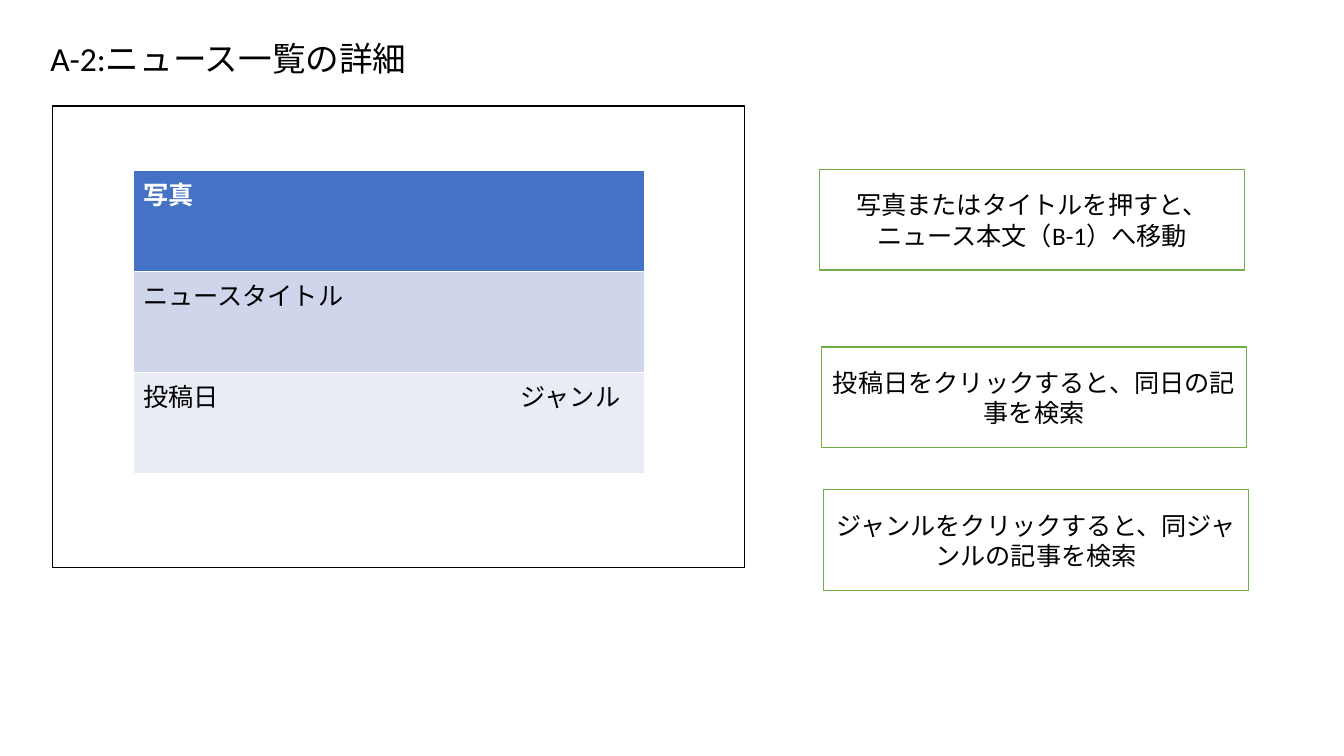
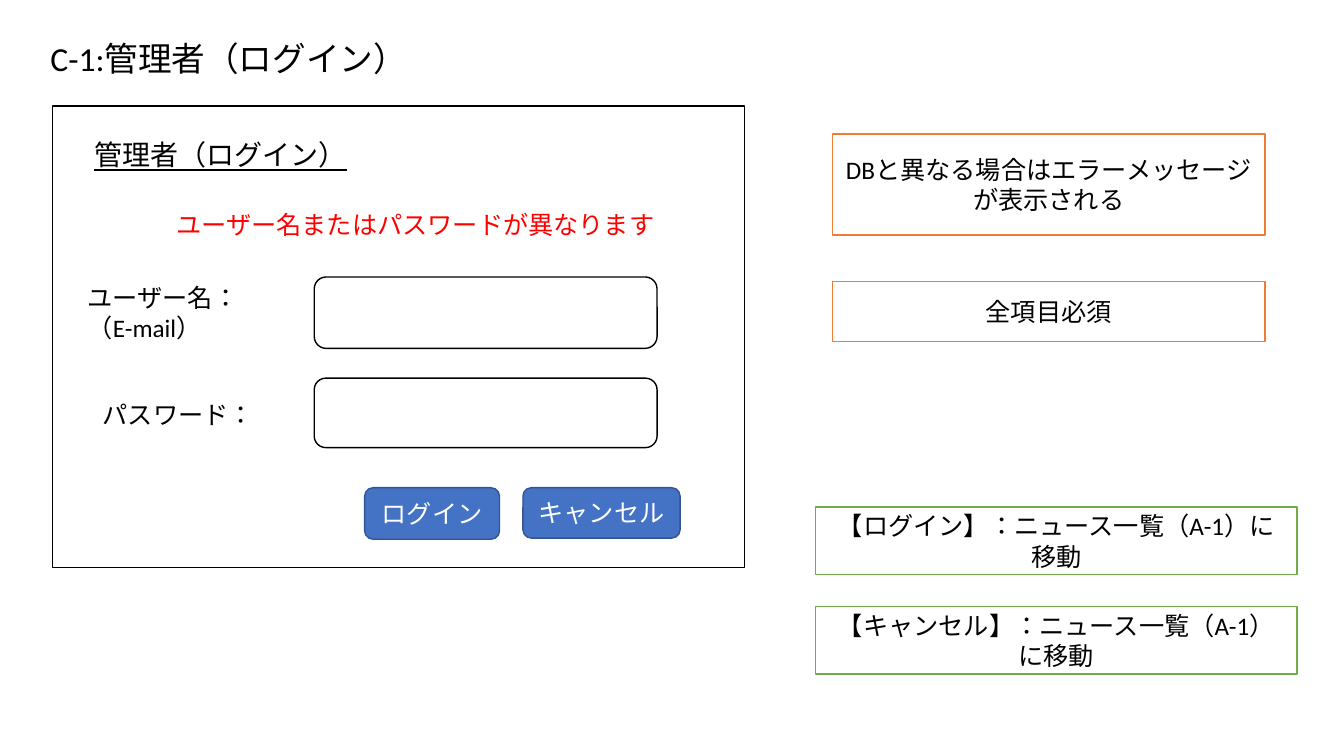
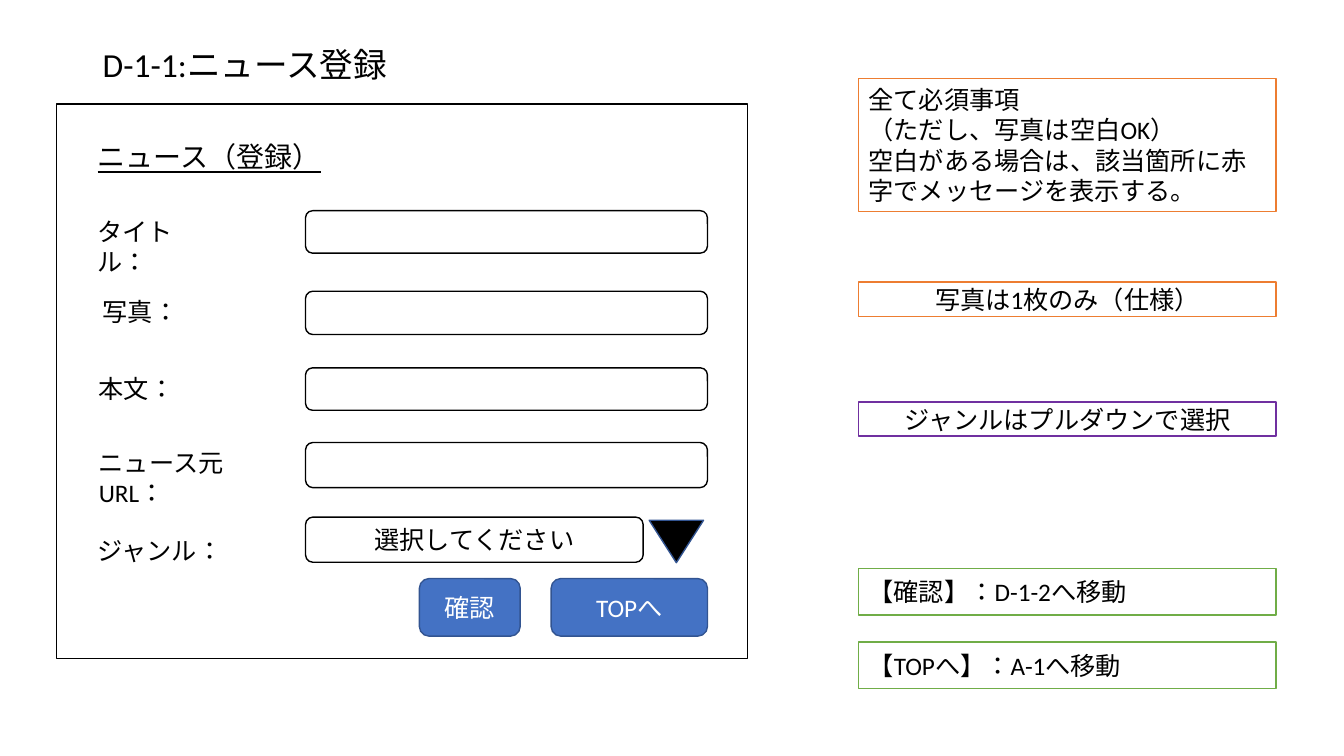
"""Build three wireframe slides of a news site with notes on each screen."""
from dataclasses import dataclass

from lxml.etree import SubElement
from pptx import Presentation
from pptx.dml.color import RGBColor
from pptx.enum.lang import MSO_LANGUAGE_ID as Lang
from pptx.enum.shapes import MSO_SHAPE as Form
from pptx.enum.text import MSO_ANCHOR as Anchor, PP_ALIGN as Align
from pptx.oxml.ns import qn
from pptx.slide import Slide
from pptx.text.text import TextFrame
from pptx.util import Cm, Pt

FONT = "Calibri"
BLACK, WHITE, RED = "000000", "FFFFFF", "FF0000"
BLUE, NAVY = "4472C4", "325491"
GREEN, ORANGE, PURPLE = "70AD47", "ED7D31", "7030A0"


@dataclass(frozen=True)
class Style:
    form: Form = Form.RECTANGLE
    fill: str = WHITE
    line: str = BLACK
    ink: str = BLACK
    align: Align = Align.CENTER
    turn: int = 0


@dataclass(frozen=True)
class Box:
    x: float
    y: float
    w: float
    h: float
    text: str = ""


FRAME = Style()
FIELD = Style(form=Form.ROUNDED_RECTANGLE)
BUTTON = Style(form=Form.ROUNDED_RECTANGLE, fill=BLUE, line=NAVY, ink=WHITE)
ARROW = Style(form=Form.ISOSCELES_TRIANGLE, fill=BLACK, line=NAVY, turn=180)
MOVE = Style(line=GREEN)
MOVE_LEFT = Style(line=GREEN, align=Align.LEFT)
RULE = Style(line=ORANGE)
RULE_LEFT = Style(line=ORANGE, align=Align.LEFT)
PICK = Style(line=PURPLE)

TITLE = Box(1.02, 0.74, 29.21, 1.57)
SCREEN = Box(1.32, 2.67, 17.45, 11.63)


def tint(code: str) -> RGBColor:
    return RGBColor.from_string(code)


def write(frame: TextFrame, text: str, *, size: int = 18, ink: str = BLACK,
          bold: bool = False, under: bool = False, align: Align = Align.LEFT,
          anchor: Anchor = Anchor.TOP, space: float = 1.0, tab: float = 0) -> None:
    frame.word_wrap = True
    frame.vertical_anchor = anchor
    for i, line in enumerate(text.split("\n")):
        para = frame.add_paragraph() if i else frame.paragraphs[0]
        para.alignment = align
        para.line_spacing = space
        if tab:
            stops = SubElement(para._p.get_or_add_pPr(), qn("a:tabLst"))
            SubElement(stops, qn("a:tab"), pos=str(Cm(tab)), algn="l")
        run = para.add_run()
        run.text = line
        font = run.font
        font.name, font.size, font.bold = FONT, Pt(size), bold
        font.underline = under
        font.language_id = Lang.JAPANESE
        font.color.rgb = tint(ink)


def place(box: Box) -> tuple[Cm, Cm, Cm, Cm]:
    return Cm(box.x), Cm(box.y), Cm(box.w), Cm(box.h)


def draw(slide: Slide, style: Style, *group: Box) -> None:
    for box in group:
        shape = slide.shapes.add_shape(style.form, *place(box))
        shape.shadow.inherit = False
        shape.rotation = style.turn
        shape.fill.solid()
        shape.fill.fore_color.rgb = tint(style.fill)
        shape.line.color.rgb = tint(style.line)
        shape.line.width = Pt(1)
        if box.text:
            write(shape.text_frame, box.text, ink=style.ink,
                  align=style.align, anchor=Anchor.MIDDLE)


def label(slide: Slide, *group: Box, **look) -> None:
    for box in group:
        write(slide.shapes.add_textbox(*place(box)).text_frame, box.text, **look)


def start(deck: Presentation, title: str, spot: Box = TITLE,
          screen: Box = SCREEN) -> Slide:
    slide = deck.slides.add_slide(deck.slide_layouts[6])
    head = Box(spot.x, spot.y, spot.w, spot.h, title)
    label(slide, head, size=24, anchor=Anchor.MIDDLE, space=0.9)
    draw(slide, FRAME, screen)
    return slide


def news_list(deck: Presentation) -> None:
    slide = start(deck, "A-2:ニュース一覧の詳細")
    rows = (("写真", BLUE, WHITE), ("ニュースタイトル", "CFD5EA", BLACK),
            ("投稿日\tジャンル", "E9EBF5", BLACK))
    spot = Box(3.35, 4.29, 12.9, 7.65)
    table = slide.shapes.add_table(len(rows), 1, *place(spot)).table
    for i, (text, fill, ink) in enumerate(rows):
        cell = table.cell(i, 0)
        cell.fill.solid()
        cell.fill.fore_color.rgb = tint(fill)
        write(cell.text_frame, text, ink=ink, bold=i == 0,
              tab=9.52 if "\t" in text else 0)
    notes = ((4.27, "写真またはタイトルを押すと、ニュース本文（B-1）へ移動"),
             (8.74, "投稿日をクリックすると、同日の記事を検索"),
             (12.34, "ジャンルをクリックすると、同ジャンルの記事を検索"))
    draw(slide, MOVE, *(Box(20.65 + 0.05 * i, y, 10.72, 2.54, text)
                        for i, (y, text) in enumerate(notes)))


def login(deck: Presentation) -> None:
    slide = start(deck, "C-1:管理者（ログイン）")
    label(slide, Box(2.13, 3.35, 10.74, 1.12, "管理者（ログイン）"),
          size=20, under=True)
    label(slide, Box(4.19, 5.16, 12.93, 1.02,
                     "ユーザー名またはパスワードが異なります"), ink=RED)
    label(slide, Box(1.96, 6.98, 4.47, 1.8, "ユーザー名：\n（E-mail）"),
          Box(2.34, 9.93, 4.34, 1.02, "パスワード："))
    draw(slide, FIELD, Box(7.92, 6.98, 8.64, 1.8), Box(7.92, 9.53, 8.64, 1.75))
    draw(slide, BUTTON, Box(9.19, 12.29, 3.4, 1.3, "ログイン"),
         Box(13.18, 12.29, 3.96, 1.27, "キャンセル"))
    draw(slide, RULE,
         Box(20.98, 3.38, 10.9, 2.54, "DBと異なる場合はエラーメッセージが表示される"),
         Box(20.98, 7.09, 10.9, 1.52, "全項目必須"))
    draw(slide, MOVE, *(Box(20.55, 12.78 + 2.51 * i, 12.14, 1.7,
                            f"【{name}】：ニュース一覧（A-1）に移動")
                        for i, name in enumerate(("ログイン", "キャンセル"))))


def news_form(deck: Presentation) -> None:
    slide = start(deck, "D-1-1:ニュース登録", Box(2.34, 1.02, 29.18, 1.32),
                  Box(1.42, 2.62, 17.42, 13.97))
    label(slide, Box(2.21, 3.4, 7.62, 1.12, "ニュース（登録）"),
          size=20, under=True)
    label(slide, Box(2.21, 5.33, 3.65, 1.02, "タイトル："),
          Box(2.34, 7.34, 3.02, 1.07, "写真："),
          Box(2.24, 9.27, 4.39, 1.07, "本文："),
          Box(2.24, 11.15, 5.23, 1.02, "ニュース元URL："),
          Box(2.21, 13.36, 3.73, 1.02, "ジャンル："))
    sizes = ((5.31, 1.07), (7.34, 1.09), (9.27, 1.07), (11.15, 1.14))
    draw(slide, FIELD, *(Box(7.7, y, 10.13, h) for y, h in sizes),
         Box(7.7, 13.03, 8.51, 1.14, "選択してください"))
    draw(slide, ARROW, Box(16.36, 13.11, 1.37, 1.07))
    draw(slide, BUTTON, Box(10.57, 14.58, 2.54, 1.45, "確認"),
         Box(13.89, 14.58, 3.94, 1.45, "TOPへ"))
    notes = ((RULE_LEFT, 1.98, 3.35, "全て必須事項\n（ただし、写真は空白OK）\n"
              "空白がある場合は、該当箇所に赤字でメッセージを表示する。"),
             (RULE, 7.11, 0.86, "写真は1枚のみ（仕様）"),
             (PICK, 10.13, 0.86, "ジャンルはプルダウンで選択"),
             (MOVE_LEFT, 14.33, 1.17, "【確認】：D-1-2へ移動"),
             (MOVE_LEFT, 16.18, 1.17, "【TOPへ】：A-1へ移動"))
    for style, y, h, text in notes:
        draw(slide, style, Box(21.64, y, 10.52, h, text))


def main() -> None:
    deck = Presentation()
    deck.slide_width, deck.slide_height = Cm(33.87), Cm(19.05)
    for build in (news_list, login, news_form):
        build(deck)
    deck.save("out.pptx")


if __name__ == "__main__":
    main()
